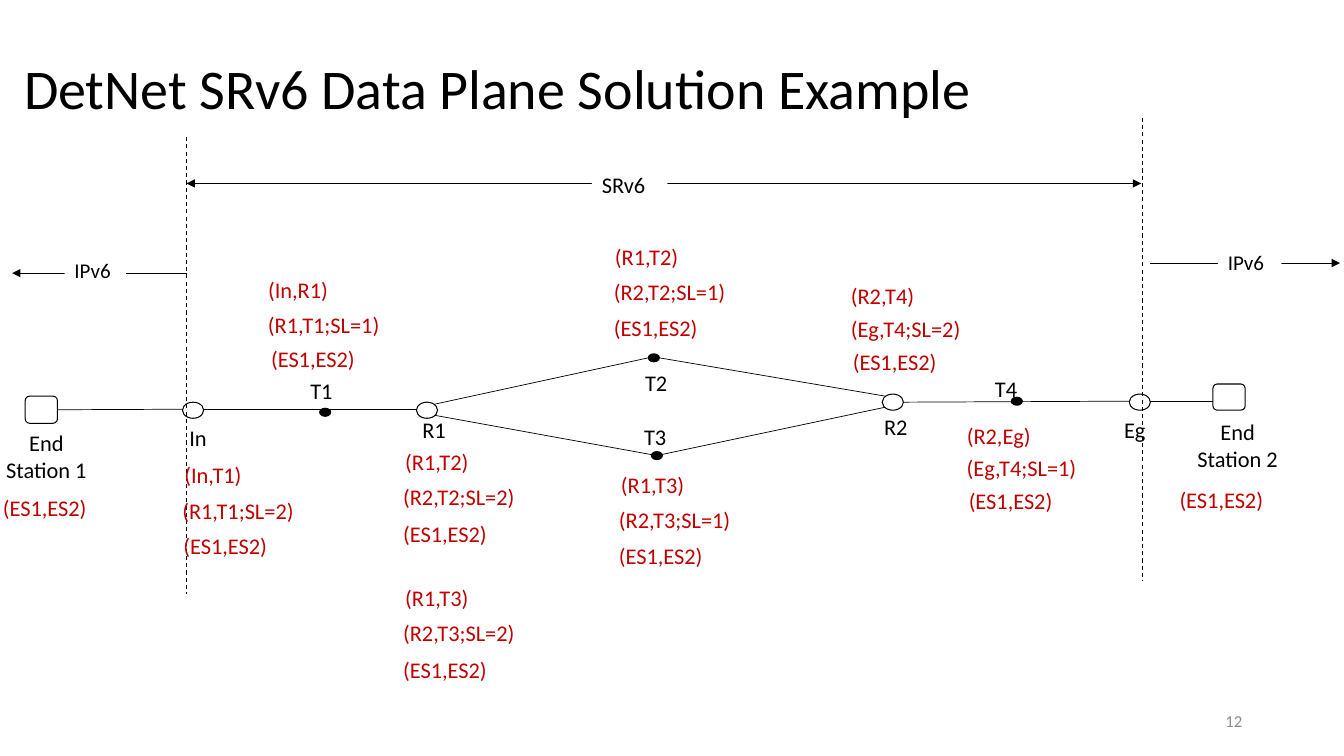
from pptx import Presentation
from pptx.dml.color import RGBColor
from pptx.enum.dml import MSO_LINE
from pptx.enum.shapes import MSO_CONNECTOR, MSO_SHAPE
from pptx.enum.text import MSO_ANCHOR, PP_ALIGN
from pptx.oxml.ns import qn
from pptx.util import Inches, Pt
from lxml import etree

BLACK = RGBColor(0, 0, 0)
WHITE = RGBColor(255, 255, 255)
RED = RGBColor(0xC0, 0, 0)
GREY = RGBColor(0x8C, 0x8C, 0x8C)
FONT = "Calibri"
OVAL, RECT, ROUND = MSO_SHAPE.OVAL, MSO_SHAPE.RECTANGLE, MSO_SHAPE.ROUNDED_RECTANGLE
LEFT, CENTER, RIGHT = PP_ALIGN.LEFT, PP_ALIGN.CENTER, PP_ALIGN.RIGHT
TOP, MIDDLE = MSO_ANCHOR.TOP, MSO_ANCHOR.MIDDLE
STRAIGHT, DASH = MSO_CONNECTOR.STRAIGHT, MSO_LINE.DASH

SLIDE_W, SLIDE_H = 13.33, 7.5
NODE_SIZE, DOT_SIZE = (0.21, 0.16), (0.11, 0.08)
LABEL_W, LINE_H, SHORT_W, LONG_W = 0.69, 0.37, 1.08, 1.6

TITLE = "DetNet SRv6 Data Plane Solution Example"
PAGE = "12"
INNER = "(ES1,ES2)"

NODES = {"In": (1.81, 3.99), "R1": (4.13, 3.99), "R2": (8.75, 3.91), "Eg": (11.2, 3.91)}
DOTS = {"T1": (3.17, 4.05), "T2": (6.43, 3.51), "T3": (6.46, 4.48), "T4": (10.03, 3.94)}
LABELS = {
    "In": (1.78, 4.16), "R1": (4.09, 4.08), "R2": (8.67, 4.05), "Eg": (11.05, 4.08),
    "T1": (2.98, 3.69), "T2": (6.3, 3.61), "T3": (6.29, 4.15), "T4": (9.77, 3.67),
}
STATIONS = [
    ((0.25, 3.93, 0.32, 0.27), (-0.13, 4.21, 1.18, 0.64), "End\vStation 1"),
    ((12.03, 3.81, 0.32, 0.26), (11.62, 4.1, 1.31, 0.64), "End\vStation 2"),
]
ACCESS_LINK = (0.57, 4.06, 1.81, 4.06)
LINKS = [
    (2.02, 4.06, 4.13, 4.06),
    (4.31, 4.01, 6.43, 3.55),
    (6.54, 3.55, 8.78, 3.93),
    (4.31, 4.12, 6.46, 4.51),
    (6.56, 4.51, 8.78, 4.04),
    (8.96, 3.99, 11.2, 3.98),
    (11.41, 3.98, 12.03, 3.98),
]
BORDERS = [(1.85, 1.36, 1.85, 5.89), (11.33, 1.17, 11.33, 5.76)]
SPANS = [
    ((1.85, 1.82, 11.32, 1.82), ("headEnd", "tailEnd"), "SRv6", 16, (5.87, 1.65, 0.75, 0.37)),
    ((11.41, 2.61, 13.29, 2.61), ("tailEnd",), "IPv6", 15, (12.08, 2.43, 0.63, 0.35)),
    ((1.85, 2.71, 0.12, 2.71), ("tailEnd",), "IPv6", 15, (0.64, 2.51, 0.61, 0.35)),
]
HEADERS = [
    ((1.73, 1.71, 1.72), (4.53, 4.88, 5.23), ("(In,T1)", "(R1,T1;SL=2)", INNER)),
    ((2.56, 2.56, 2.59), (2.69, 3.04, 3.37), ("(In,R1)", "(R1,T1;SL=1)", INNER)),
    ((3.92, 3.9, 3.9), (4.4, 4.74, 5.11), ("(R1,T2)", "(R2,T2;SL=2)", INNER)),
    ((3.92, 3.9, 3.9), (5.75, 6.09, 6.46), ("(R1,T3)", "(R2,T3;SL=2)", INNER)),
    ((6.0, 5.99, 5.99), (2.36, 2.71, 3.07), ("(R1,T2)", "(R2,T2;SL=1)", INNER)),
    ((6.06, 6.04, 6.04), (4.63, 4.97, 5.33), ("(R1,T3)", "(R2,T3;SL=1)", INNER)),
    ((8.34, 8.34, 8.36), (2.75, 3.08, 3.4), ("(R2,T4)", "(Eg,T4;SL=2)", INNER)),
    ((9.49, 9.49, 9.51), (4.14, 4.46, 4.78), ("(R2,Eg)", "(Eg,T4;SL=1)", INNER)),
    ((-0.07,), (4.85,), (INNER,)),
    ((11.6,), (4.77,), (INNER,)),
]


def write(shape, text, size=16, color=BLACK, align=LEFT, anchor=TOP, spacing=None):
    tf = shape.text_frame
    tf.word_wrap = True
    tf.vertical_anchor = anchor
    p = tf.paragraphs[0]
    p.text = text
    p.alignment = align
    p.line_spacing = spacing
    for r in p.runs:
        r.font.size = Pt(size)
        r.font.name = FONT
        r.font.color.rgb = color


def add_text(s, box, text, **style):
    write(s.shapes.add_textbox(*map(Inches, box)), text, **style)


def add_shape(s, kind, box, fill=None, outline=True):
    sp = s.shapes.add_shape(kind, *map(Inches, box))
    sp.shadow.inherit = False
    if fill is None:
        sp.fill.background()
    else:
        sp.fill.solid()
        sp.fill.fore_color.rgb = fill
    if outline:
        sp.line.color.rgb = BLACK
        sp.line.width = Pt(0.75)
    else:
        sp.line.fill.background()
    return sp


def add_line(s, ends, width=0.5, dash=None, arrows=()):
    c = s.shapes.add_connector(STRAIGHT, *map(Inches, ends))
    c.line.color.rgb = BLACK
    c.line.width = Pt(width)
    if dash:
        c.line.dash_style = dash
    sp_pr = c._element.spPr
    for end in arrows:
        etree.SubElement(sp_pr.find(qn("a:ln")), qn(f"a:{end}"), type="triangle")
    etree.SubElement(sp_pr, qn("a:effectLst"))
    return c


def main():
    """Build the DetNet SRv6 data plane slide."""
    prs = Presentation()
    prs.slide_width, prs.slide_height = Inches(SLIDE_W), Inches(SLIDE_H)
    s = prs.slides.add_slide(prs.slide_layouts[6])

    add_text(s, (0.14, 0.18, 11.5, 1.45), TITLE, size=40, anchor=MIDDLE, spacing=0.9)
    add_text(s, (9.42, 6.95, 3, 0.4), PAGE, size=12, color=GREY, align=RIGHT, anchor=MIDDLE)

    for corner in NODES.values():
        add_shape(s, OVAL, corner + NODE_SIZE)
    for ends in LINKS:
        add_line(s, ends)
    for ends in BORDERS:
        add_line(s, ends, width=0.75, dash=DASH)
    for ends, arrows, text, size, box in SPANS:
        add_line(s, ends, arrows=arrows)
        write(add_shape(s, RECT, box, fill=WHITE, outline=False), text, size=size)

    stations = []
    for box, label_box, text in STATIONS:
        stations.append(add_shape(s, ROUND, box))
        add_text(s, label_box, text, align=CENTER)
    add_line(s, ACCESS_LINK).begin_connect(stations[0], 3)

    for corner in DOTS.values():
        add_shape(s, OVAL, corner + DOT_SIZE, fill=BLACK)
    for name, corner in LABELS.items():
        add_text(s, corner + (LABEL_W, LINE_H), name)
    for lefts, tops, lines in HEADERS:
        for x, y, text in zip(lefts, tops, lines):
            width = LONG_W if ";" in text else SHORT_W
            add_text(s, (x, y, width, LINE_H), text, color=RED)

    prs.save("out.pptx")


if __name__ == "__main__":
    main()
